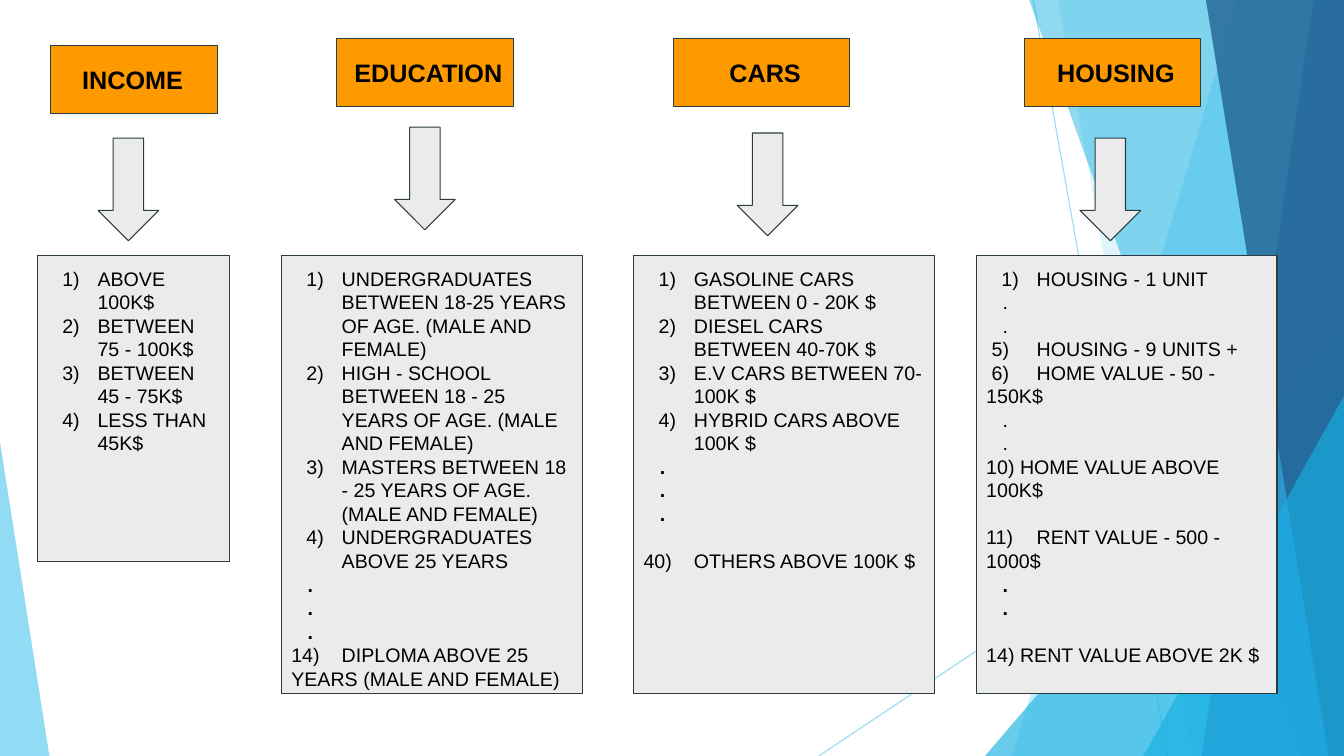
from lxml import etree
from pptx import Presentation
from pptx.dml.color import RGBColor
from pptx.enum import shapes as kinds, text as layout
from pptx.oxml.ns import qn
from pptx.util import Pt

ORANGE = RGBColor(0xFF, 0x99, 0x00)
GREY = RGBColor(0xEB, 0xEB, 0xEB)
OUTLINE = RGBColor(0x2C, 0x3C, 0x43)
BLACK = RGBColor(0x00, 0x00, 0x00)
SKY = RGBColor(0x5F, 0xCB, 0xEF)
CYAN = RGBColor(0x16, 0xB0, 0xE3)
BLUE = RGBColor(0x2E, 0x83, 0xC3)
NAVY = RGBColor(0x22, 0x62, 0x92)

WIDTH, HEIGHT = 960, 540
LINE_PITCH = 16.8
LIST_TOP = 182.2
DOT = ("plain", ".", 11.7, 0, False, 0)
BOLD_DOT = ("plain", ".", 11.7, 0, True, 0)


def numbered(content):
    """Describe an automatically numbered entry."""
    return ("numbered", content, -25.2, 0, False, 0)


def plain(content, indent=0, tab=0, gap=0):
    """Describe an entry with a typed number, an optional tab stop and a gap above."""
    return ("plain", content, indent, tab, False, gap)


COLUMNS = [
    ((26.6, 137.5, 219), (36, 32.4, 119.5), (70, 98.6), "INCOME", -1, [
        numbered("ABOVE 100K$"),
        numbered("BETWEEN\v75 - 100K$"),
        numbered("BETWEEN\v45 - 75K$"),
        numbered("LESS THAN\v45K$"),
    ]),
    ((201, 214.8, 313.4), (240.5, 27.8, 126), (281.8, 90.8), "EDUCATION", 2.5, [
        numbered("UNDERGRADUATES BETWEEN 18-25 YEARS OF AGE. (MALE AND FEMALE)"),
        numbered("HIGH - SCHOOL BETWEEN 18 - 25 YEARS OF AGE. (MALE AND FEMALE)"),
        numbered("MASTERS BETWEEN 18 - 25 YEARS OF AGE.\v(MALE AND FEMALE)"),
        numbered("UNDERGRADUATES ABOVE 25 YEARS"),
        BOLD_DOT, BOLD_DOT, BOLD_DOT,
        plain("14)\tDIPLOMA ABOVE 25 YEARS (MALE AND FEMALE)", tab=36),
    ]),
    ((452.6, 214.8, 313.4), (481, 27.8, 126), (526.6, 95), "CARS", 2.5, [
        numbered("GASOLINE CARS BETWEEN 0 - 20K $"),
        numbered("DIESEL CARS BETWEEN 40-70K $"),
        numbered("E.V CARS BETWEEN 70-100K $"),
        numbered("HYBRID CARS ABOVE 100K $"),
        BOLD_DOT, BOLD_DOT, BOLD_DOT,
        plain("40)\tOTHERS ABOVE 100K $", tab=36, gap=LINE_PITCH),
    ]),
    ((697.4, 214.8, 313.4), (731.6, 27.8, 126), (771.4, 98.6), "HOUSING", 2.5, [
        numbered("HOUSING - 1 UNIT"),
        DOT, DOT,
        plain("5)\tHOUSING - 9 UNITS +", indent=3.9, tab=24),
        plain("6)\tHOME VALUE - 50 - 150K$", indent=3.9, tab=24),
        DOT, DOT,
        plain("10) HOME VALUE ABOVE 100K$"),
        plain("11)\tRENT VALUE - 500 - 1000$", tab=27, gap=LINE_PITCH),
        BOLD_DOT, BOLD_DOT,
        plain("14) RENT VALUE ABOVE 2K $", gap=LINE_PITCH),
    ]),
]


def set_alpha(shape, percent):
    """Make the first colour of a shape translucent."""
    color = next(shape._element.spPr.iter(qn("a:srgbClr")))
    etree.SubElement(color, qn("a:alpha")).set("val", str(percent * 1000))


def paint_facet(shape, color, percent):
    """Give a background facet its translucent fill and no outline."""
    shape.shadow.inherit = False
    shape.fill.solid()
    shape.fill.fore_color.rgb = color
    shape.line.fill.background()
    set_alpha(shape, percent)


def add_polygon(slide, points, color, percent):
    """Add a background facet with straight sides."""
    corners = [(Pt(x), Pt(y)) for x, y in points]
    builder = slide.shapes.build_freeform(*corners[0], scale=1.0)
    builder.add_line_segments(corners[1:], close=True)
    paint_facet(builder.convert_to_shape(), color, percent)


def add_triangle(slide, left, top, width, apex, color, percent):
    """Add a right-angled facet that stands on the bottom edge."""
    shape = slide.shapes.add_shape(kinds.MSO_SHAPE.ISOSCELES_TRIANGLE, Pt(left), Pt(top),
                                   Pt(width), Pt(HEIGHT - top))
    shape.adjustments[0] = apex
    paint_facet(shape, color, percent)


def add_backdrop(slide):
    """Draw the lines and translucent facets behind the columns."""
    for start, end in (((738, 0), (834, HEIGHT)), ((WIDTH, 290), (584.8, HEIGHT))):
        line = slide.shapes.add_connector(kinds.MSO_CONNECTOR.STRAIGHT,
                                          *map(Pt, start + end))
        line.line.color.rgb = SKY
        line.line.width = Pt(0.75)
        set_alpha(line, 68)
        etree.SubElement(line._element.spPr, qn("a:effectLst"))

    def add_band(top_left, bottom_left, color, percent):
        """Add a facet that reaches from a slanted side to the right edge."""
        add_polygon(slide, [(top_left, 0), (WIDTH, 0), (WIDTH, HEIGHT),
                            (bottom_left, HEIGHT)], color, percent)

    add_band(884, 723, SKY, 34)
    add_band(756, 852, SKY, 20)
    add_triangle(slide, 703.6, 240, 256.4, 1, CYAN, 64)
    add_band(735.2, 929.5, CYAN, 48)
    add_band(938.2, 858.4, BLUE, 68)
    add_band(861.4, 949, NAVY, 80)
    add_triangle(slide, 816.7, 282.8, 143.3, 1, CYAN, 64)
    add_triangle(slide, 0, 316, 35.3, 0, SKY, 68)


def add_block(slide, kind, box, color):
    """Add a filled, thinly outlined preset shape."""
    shape = slide.shapes.add_shape(kind, *map(Pt, box))
    shape.shadow.inherit = False
    shape.fill.solid()
    shape.fill.fore_color.rgb = color
    shape.line.color.rgb = OUTLINE
    shape.line.width = Pt(0.75)
    return shape


def format_font(paragraph, size, bold):
    """Set the font of all runs in a paragraph."""
    for run in paragraph.runs:
        run.font.name = "Arial"
        run.font.size = Pt(size)
        run.font.bold = bold
        run.font.color.rgb = BLACK


def add_header(slide, box, title, shift):
    """Add a category header whose title is shifted from the centre."""
    frame = add_block(slide, kinds.MSO_SHAPE.RECTANGLE, box, ORANGE).text_frame
    frame.word_wrap = True
    frame.vertical_anchor = layout.MSO_ANCHOR.MIDDLE
    frame.margin_left, frame.margin_right = Pt(5 + shift), Pt(5 - shift)
    frame.text = title
    frame.paragraphs[0].alignment = layout.PP_ALIGN.CENTER
    format_font(frame.paragraphs[0], 18, True)


def add_list(slide, box, entries):
    """Add the grey box with the entries of one category."""
    frame = add_block(slide, kinds.MSO_SHAPE.RECTANGLE, box, GREY).text_frame
    frame.word_wrap = True
    frame.vertical_anchor = layout.MSO_ANCHOR.TOP
    frame.margin_left = frame.margin_right = frame.margin_bottom = Pt(7.2)
    frame.margin_top = Pt(8.2)
    for index, (style, content, indent, tab, bold, gap) in enumerate(entries):
        paragraph = frame.add_paragraph() if index else frame.paragraphs[0]
        paragraph.text = content
        paragraph.alignment = layout.PP_ALIGN.LEFT
        paragraph.line_spacing = Pt(LINE_PITCH)
        paragraph.space_before = Pt(gap)
        format_font(paragraph, 14, bold)
        properties = paragraph._p.get_or_add_pPr()
        properties.set("marL", str(Pt(36 if style == "numbered" else 0)))
        properties.set("indent", str(Pt(indent)))
        if style == "numbered":
            etree.SubElement(properties, qn("a:buFont")).set("typeface", "Arial")
            etree.SubElement(properties, qn("a:buAutoNum")).set("type", "arabicParenR")
        else:
            etree.SubElement(properties, qn("a:buNone"))
        if tab:
            stops = etree.SubElement(properties, qn("a:tabLst"))
            etree.SubElement(stops, qn("a:tab"), pos=str(Pt(tab)), algn="l")


def add_column(slide, list_box, header_box, arrow_corner, title, shift, entries):
    """Add a header, an arrow and a list for one category."""
    left, width, height = list_box
    add_header(slide, (*header_box, 48.4), title, shift)
    add_block(slide, kinds.MSO_SHAPE.DOWN_ARROW, (*arrow_corner, 43.4, 73.4), GREY)
    add_list(slide, (left, LIST_TOP, width, height), entries)


def main():
    """Build the slide and save it."""
    presentation = Presentation()
    presentation.slide_width, presentation.slide_height = Pt(WIDTH), Pt(HEIGHT)
    slide = presentation.slides.add_slide(presentation.slide_layouts[6])
    add_backdrop(slide)
    for column in COLUMNS:
        add_column(slide, *column)
    presentation.save("out.pptx")


if __name__ == "__main__":
    main()
